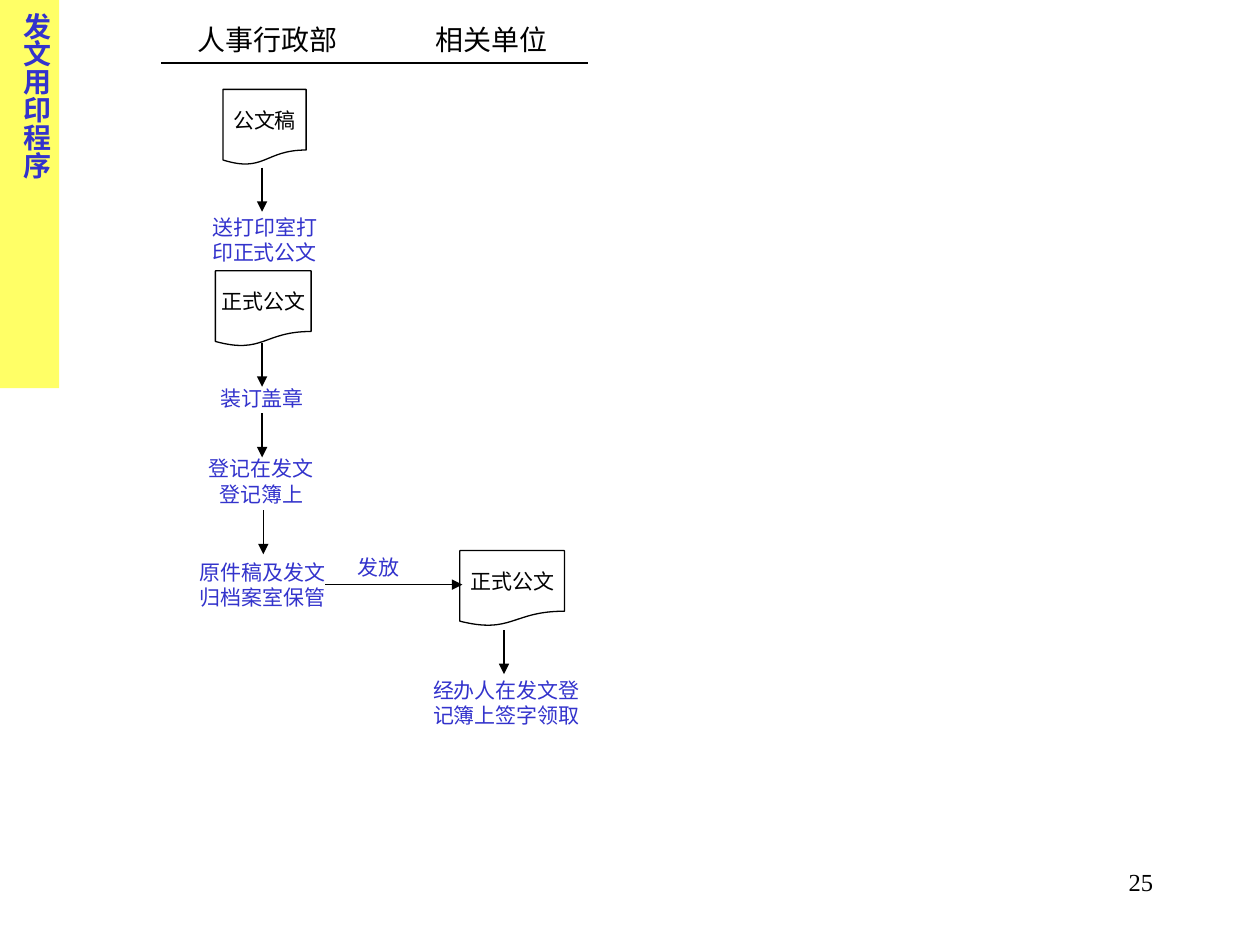
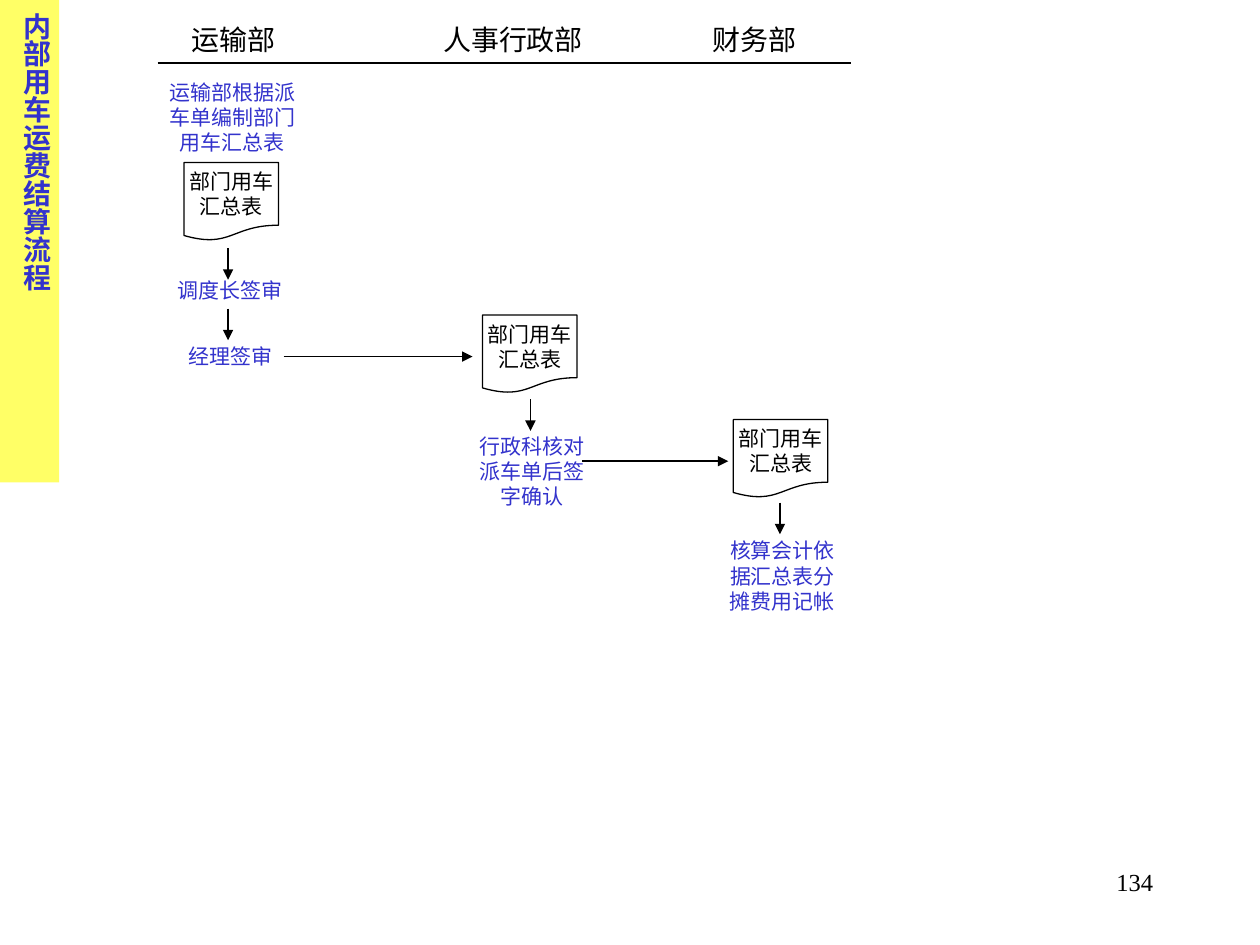
import pptx
import pptx.dml.color
import pptx.enum.shapes
import pptx.enum.text
import pptx.oxml
import pptx.oxml.ns
import pptx.util
import lxml.etree

Inches = pptx.util.Inches
Pt = pptx.util.Pt
Color = pptx.dml.color.RGBColor
Align = pptx.enum.text.PP_ALIGN
Anchor = pptx.enum.text.MSO_ANCHOR
Shape = pptx.enum.shapes.MSO_SHAPE

# Theme: colours, type sizes and text styles
theme = {
    "black": Color.from_string("000000"),
    "white": Color.from_string("FFFFFF"),
    "blue": Color.from_string("3333CC"),
    "yellow": Color.from_string("FFFF66"),
    "font": "Times New Roman",
    "line": Pt(0.75),
    "title": {"size": Pt(16), "bold": True},
    "heading": {"size": Pt(16)},
    "label": {"size": Pt(12)},
    "number": {"size": Pt(14)},
}

# Each page: steps are (left, top, width, height, text), documents the same,
# drops are (x, top) of vertical arrows, handovers are (left, right, y)
pages = [
    {
        "title": "发文用印程序", "band_height": 3.08, "number": "25",
        "rule": (1.28, 4.67),
        "headings": [(1.47, "人事行政部"), (3.36, "相关单位")],
        "documents": [
            (1.77, 0.71, 0.66, 0.6, ["公文稿"]),
            (1.71, 2.15, 0.76, 0.6, ["正式公文"]),
            (3.65, 4.37, 0.83, 0.6, ["正式公文"]),
        ],
        "steps": [
            (1.56, 1.65, 1.08, 0.5, "送打印室打印正式公文"),
            (1.58, 3.01, 1, 0.3, "装订盖章"),
            (1.49, 3.57, 1.17, 0.5, "登记在发文登记簿上"),
            (1.43, 4.39, 1.31, 0.5, "原件稿及发文归档案室保管"),
            (2.67, 4.35, 0.67, 0.3, "发放"),
            (3.29, 5.33, 1.46, 0.5, "经办人在发文登记簿上签字领取"),
        ],
        "drop_length": 0.35,
        "drops": [(2.08, 1.33), (2.08, 2.72), (2.08, 3.28), (2.09, 4.05), (4, 5)],
        "handovers": [(2.58, 3.67, 4.64)],
    },
    {
        "title": "内部用车运费结算流程", "band_height": 3.83, "number": "134",
        "rule": (1.25, 6.75),
        "headings": [(1.42, "运输部"), (3.42, "人事行政部"), (5.56, "财务部")],
        "documents": [
            (left, top, 0.75, 0.62, ["部门用车", "汇总表"])
            for left, top in [(1.46, 1.29), (3.83, 2.5), (5.82, 3.33)]
        ],
        "steps": [
            (1.18, 0.58, 1.33, 0.7, "运输部根据派车单编制部门用车汇总表"),
            (1.18, 2.15, 1.29, 0.3, "调度长签审"),
            (1.14, 2.68, 1.38, 0.3, "经理签审"),
            (3.68, 3.39, 1.08, 0.7, "行政科核对派车单后签字确认"),
            (5.67, 4.22, 1.08, 0.7, "核算会计依据汇总表分摊费用记帐"),
        ],
        "drop_length": 0.25,
        "drops": [(1.81, 1.97), (1.81, 2.45), (4.21, 3.17), (6.19, 3.99)],
        "handovers": [(2.25, 3.75, 2.83), (4.62, 5.78, 3.66)],
    },
]


def write_text(box, lines, style, color, align, anchor=Anchor.TOP, wrap=True):
    frame = box.text_frame
    frame.word_wrap = wrap
    frame.vertical_anchor = anchor
    for index, line in enumerate(lines):
        para = frame.add_paragraph() if index else frame.paragraphs[0]
        para.alignment = align
        span = para.add_run()
        span.text = line
        for name, value in {"name": theme["font"], **style}.items():
            setattr(span.font, name, value)
        span.font.color.rgb = theme[color]


def draw_line(page, start, end, arrow=True):
    ends = [Inches(value) for value in (*start, *end)]
    line = page.shapes.add_connector(pptx.enum.shapes.MSO_CONNECTOR.STRAIGHT, *ends)
    line.line.color.rgb = theme["black"]
    line.line.width = theme["line"]
    properties = line._element.spPr
    if arrow:
        tail = lxml.etree.SubElement(line.line._get_or_add_ln(), pptx.oxml.ns.qn("a:tailEnd"))
        tail.set("type", "triangle")
    lxml.etree.SubElement(properties, pptx.oxml.ns.qn("a:effectLst"))


deck = pptx.Presentation()
deck.slide_width, deck.slide_height = Inches(10), Inches(7.5)

for plan in pages:
    page = deck.slides.add_slide(deck.slide_layouts[6])

    # Title band with vertical text
    band = page.shapes.add_shape(
        Shape.RECTANGLE, 0, 0, Inches(0.47), Inches(plan["band_height"]))
    band.shadow.inherit = False
    band.fill.solid()
    band.fill.fore_color.rgb = theme["yellow"]
    band.line.fill.background()
    write_text(band, [plan["title"]], theme["title"], "blue", Align.JUSTIFY)
    band.text_frame._txBody.bodyPr.set("vert", "eaVert")

    # Department headings and the rule below them
    for left, department in plan["headings"]:
        box = page.shapes.add_textbox(Inches(left), Inches(0.13), Inches(1.4), Inches(0.37))
        write_text(box, [department], theme["heading"], "black", Align.LEFT)
    rule_left, rule_right = plan["rule"]
    draw_line(page, (rule_left, 0.5), (rule_right, 0.5), arrow=False)

    # Documents
    for *place, lines in plan["documents"]:
        document = page.shapes.add_shape(
            Shape.FLOWCHART_DOCUMENT, *[Inches(value) for value in place])
        document.shadow.inherit = False
        document.fill.solid()
        document.fill.fore_color.rgb = theme["white"]
        document.line.color.rgb = theme["black"]
        document.line.width = theme["line"]
        write_text(document, lines, theme["label"], "black", Align.CENTER,
                   Anchor.MIDDLE, wrap=False)

    # Steps
    for *place, step in plan["steps"]:
        box = page.shapes.add_textbox(*[Inches(value) for value in place])
        write_text(box, [step], theme["label"], "blue", Align.CENTER)

    # Arrows down a column and across to the next department
    for x, top in plan["drops"]:
        draw_line(page, (x, top), (x, top + plan["drop_length"]))
    for left, right, y in plan["handovers"]:
        draw_line(page, (left, y), (right, y))

    # Page number
    box = page.shapes.add_textbox(Inches(7.17), Inches(6.83), Inches(2.08), Inches(0.5))
    write_text(box, [plan["number"]], theme["number"], "black", Align.RIGHT)

deck.save("out.pptx")
